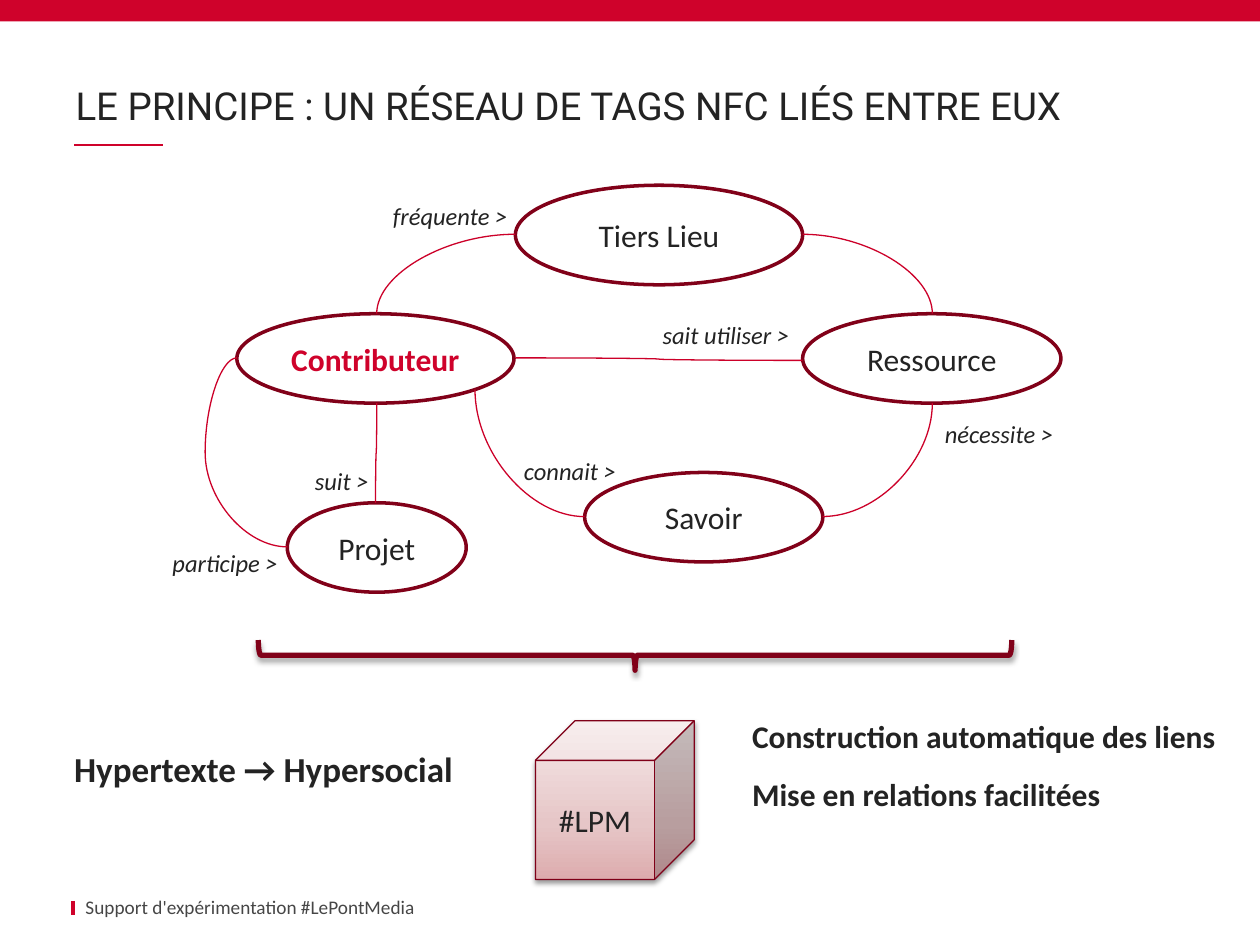
from lxml.etree import SubElement
from pptx import Presentation
from pptx.dml.color import RGBColor
from pptx.enum.shapes import MSO_CONNECTOR as CXN, MSO_SHAPE as SHAPE
from pptx.enum.text import MSO_ANCHOR as ANCHOR, MSO_AUTO_SIZE as AUTO, PP_ALIGN as ALIGN
from pptx.oxml.ns import qn
from pptx.util import Inches, Pt

RED, CURVE_RED, DARK_RED = "CF022B", "CC0029", "810119"
INK, GREY, WHITE = "232323", "464646", "FFFFFF"


def rgb(value):
    return RGBColor.from_string(value)


def write(s, text, size=18, color=INK, font="Calibri", bold=False, italic=False,
          align=None, anchor=None, spacing=None):
    tf = s.text_frame
    if anchor is not None:
        tf.vertical_anchor = anchor
    p = tf.paragraphs[0]
    p.alignment = align
    p.line_spacing = spacing
    r = p.add_run()
    r.text = text
    r.font.size, r.font.name = Pt(size), font
    r.font.bold, r.font.italic = bold, italic
    r.font.color.rgb = rgb(color)


def add_text(slide, box, text, wrap=False, inset=0.1, **fmt):
    s = slide.shapes.add_textbox(*map(Inches, box))
    tf = s.text_frame
    tf.word_wrap = wrap
    tf.auto_size = AUTO.NONE if wrap else AUTO.SHAPE_TO_FIT_TEXT
    tf.margin_left = tf.margin_right = Inches(inset)
    write(s, text, **fmt)


def add_shape(slide, kind, box, fill=None, line=None, width=1):
    s = slide.shapes.add_shape(kind, *map(Inches, box))
    s.shadow.inherit = False
    if fill:
        s.fill.solid()
        s.fill.fore_color.rgb = rgb(fill)
    else:
        s.fill.background()
    if line:
        s.line.color.rgb = rgb(line)
        s.line.width = Pt(width)
    else:
        s.line.fill.background()
    return s


def add_node(slide, box, text, **fmt):
    s = add_shape(slide, SHAPE.OVAL, box, WHITE, DARK_RED, 2)
    write(s, text, align=ALIGN.CENTER, anchor=ANCHOR.MIDDLE, **fmt)


def add_line(slide, start, end, color, width, kind=CXN.STRAIGHT):
    c = slide.shapes.add_connector(kind, *map(Inches, (*start, *end)))
    c.line.color.rgb = rgb(color)
    c.line.width = Pt(width)
    SubElement(c._element.spPr, qn("a:effectLst"))
    return c


def add_curve(slide, start, end, rot=0, flip="", preset="curvedConnector2", adj=None):
    """Curve between two points; a quarter turn swaps the sides of its frame."""
    c = add_line(slide, start, end, CURVE_RED, 0.75, CXN.CURVE)
    w, h = abs(end[0] - start[0]), abs(end[1] - start[1])
    if rot in (90, 270):
        w, h = h, w
    c.left = Inches((start[0] + end[0] - w) / 2)
    c.top = Inches((start[1] + end[1] - h) / 2)
    c.width, c.height = Inches(w), Inches(h)
    xfrm = c._element.spPr.find(qn("a:xfrm"))
    xfrm.set("rot", str(rot * 60000))
    for axis in "hv":
        xfrm.set("flip" + axis.upper(), str(int(axis in flip)))
    geom = c._element.spPr.find(qn("a:prstGeom"))
    geom.set("prst", preset)
    if adj is not None:
        guides = geom.find(qn("a:avLst"))
        SubElement(guides, qn("a:gd"), name="adj1", fmla=f"val {round(adj * 100000)}")


def add_shadow(s, alpha, blur, dist):
    effects = s._element.spPr.find(qn("a:effectLst"))
    shadow = SubElement(effects, qn("a:outerShdw"), blurRad=str(Pt(blur)),
                        dist=str(Pt(dist)), dir="5400000", rotWithShape="0")
    color = SubElement(shadow, qn("a:srgbClr"), val="000000")
    SubElement(color, qn("a:alpha"), val=str(alpha * 1000))


def set_gradient(s, stops, angle):
    s.fill.gradient()
    grad = s._element.spPr.find(qn("a:gradFill"))
    grad.find(qn("a:lin")).set("ang", str(angle * 60000))
    stop_list = grad.find(qn("a:gsLst"))
    for old in list(stop_list):
        stop_list.remove(old)
    for pos, color in stops:
        stop = SubElement(stop_list, qn("a:gs"), pos=str(pos * 1000))
        SubElement(stop, qn("a:srgbClr"), val=color)


def add_frame(slide):
    add_line(slide, (0.58, 7.15), (0.58, 7.26), RED, 2.25)
    add_line(slide, (0.59, 1.15), (1.29, 1.15), RED, 1)
    add_shape(slide, SHAPE.RECTANGLE, (0, 0, 10, 0.17), RED)
    add_text(slide, (0.6, 0.21, 8.8, 0.86),
             "LE PRINCIPE : UN RÉSEAU DE TAGS NFC LIÉS ENTRE EUX", wrap=True, inset=0,
             size=22, font="Roboto", anchor=ANCHOR.BOTTOM, spacing=0.9)
    add_text(slide, (0.58, 7.11, 4.97, 0.18), "Support d'expérimentation #LePontMedia",
             wrap=True, size=11, color=GREY, anchor=ANCHOR.MIDDLE)


def add_network(slide):
    # Nodes
    add_node(slide, (4.09, 1.47, 2.28, 0.79), "Tiers Lieu")
    add_node(slide, (1.88, 2.49, 2.2, 0.71), "Contributeur", color=RED, bold=True)
    add_node(slide, (6.37, 2.49, 2.05, 0.71), "Ressource")
    add_node(slide, (2.28, 3.99, 1.42, 0.71), "Projet")
    add_node(slide, (4.64, 3.75, 1.89, 0.71), "Savoir")

    # Links
    s_curve = "curvedConnector3"
    add_curve(slide, (2.99, 2.49), (4.09, 1.86), 90, "hv")
    add_curve(slide, (6.37, 1.86), (7.4, 2.49))
    add_curve(slide, (2.99, 3.2), (2.98, 3.99), 90, "", s_curve, 0.5)
    add_curve(slide, (4.09, 2.84), (6.37, 2.86), 0, "", s_curve, 0.5)
    add_curve(slide, (2.28, 4.34), (1.88, 2.84), 180, "", s_curve, 1.63)
    add_curve(slide, (3.77, 3.09), (4.64, 4.1), 270, "h")
    add_curve(slide, (6.53, 4.1), (7.4, 3.2), 0, "v")

    # Link labels
    for left, top, width, text in (
            (3.02, 1.55, 1.12, "fréquente >"), (7.4, 3.28, 1.07, "nécessite >"),
            (4.06, 3.57, 0.94, "connait >"), (5.16, 2.49, 1.22, "sait utiliser >"),
            (2.4, 3.65, 0.63, "suit >"), (1.27, 4.3, 1.05, "participe >")):
        add_text(slide, (left, top, width, 0.34), text, size=14, italic=True)


def add_result(slide):
    # Brace under the network
    brace = add_shape(slide, SHAPE.RIGHT_BRACE, (4.92, 2.21, 0.24, 5.98), None, DARK_RED, 3)
    brace.rotation = 90
    add_shadow(brace, 35, 3.1, 1.8)

    # Cube
    cube = add_shape(slide, SHAPE.CUBE, (4.25, 5.72, 1.26, 1.26), WHITE, "7F0018", 0.75)
    set_gradient(cube, ((0, "DDACAE"), (35, "E6C6C7"), (100, "F6E9E9")), 270)
    add_shadow(cube, 38, 3.1, 1.6)
    write(cube, "#LPM", align=ALIGN.CENTER, anchor=ANCHOR.MIDDLE)

    # Benefits
    add_text(slide, (5.87, 5.64, 3.91, 0.4), "Construction automatique des liens", bold=True)
    add_text(slide, (5.87, 6.1, 2.99, 0.4), "Mise en relations facilitées", bold=True)
    add_text(slide, (0.49, 5.88, 3.26, 0.44), "Hypertexte → Hypersocial", size=20, bold=True)


def main():
    prs = Presentation()
    prs.slide_width, prs.slide_height = Inches(10), Inches(7.5)
    slide = prs.slides.add_slide(prs.slide_layouts[6])
    add_frame(slide)
    add_network(slide)
    add_result(slide)
    prs.save("out.pptx")


if __name__ == "__main__":
    main()
